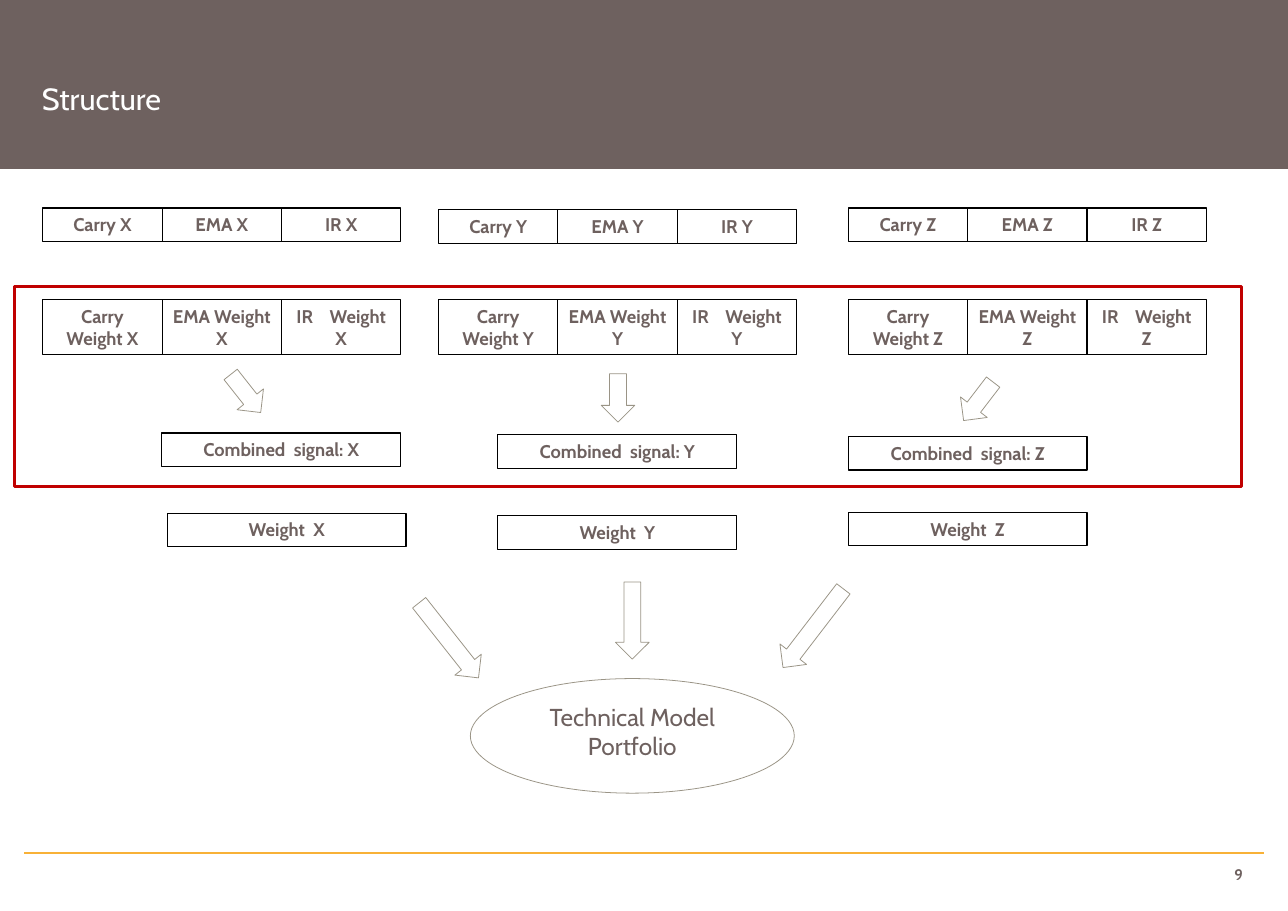
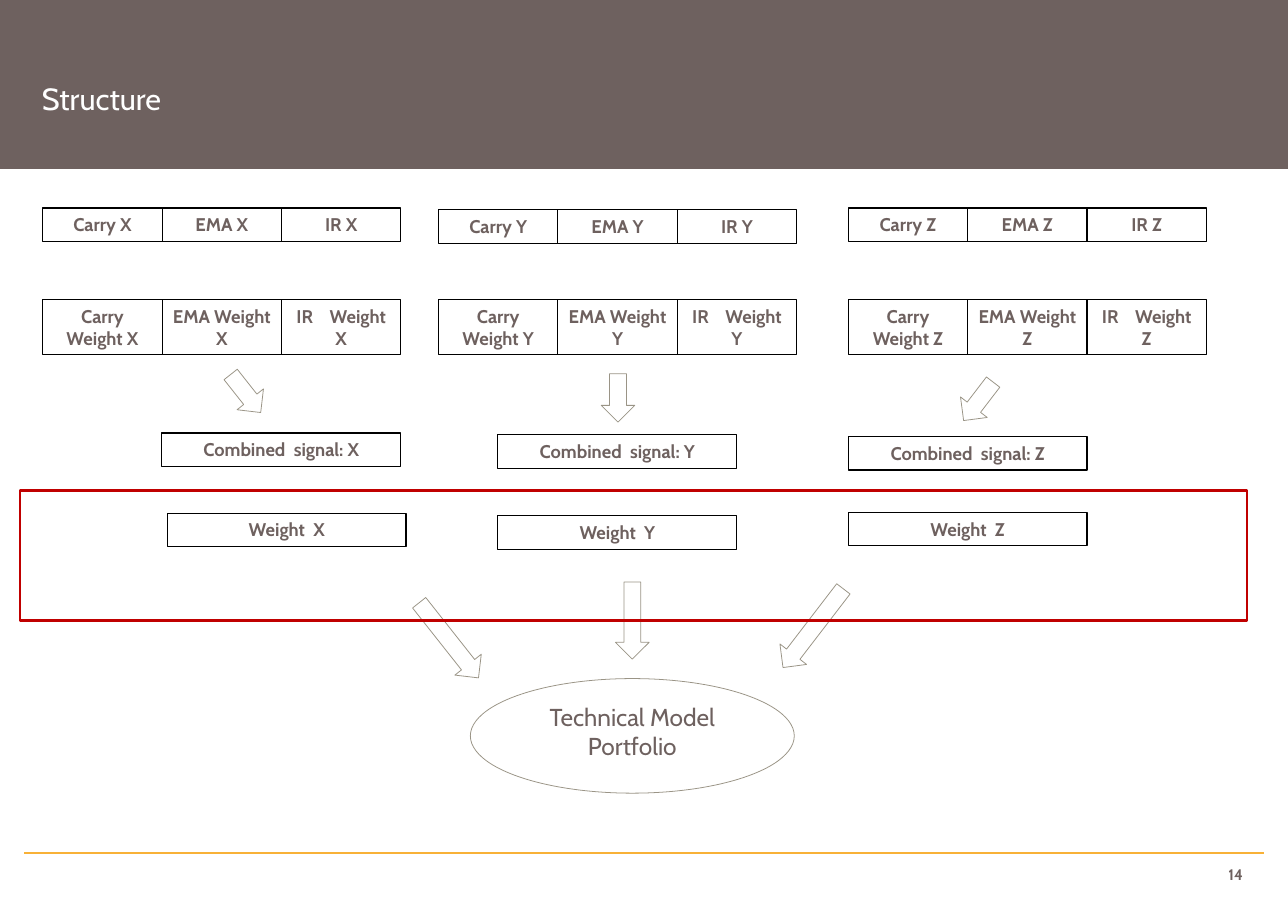
from pptx import Presentation
from pptx.dml.color import RGBColor
from pptx.enum.shapes import MSO_CONNECTOR, MSO_SHAPE as SHAPE
from pptx.enum.text import MSO_ANCHOR as ANCHOR, PP_ALIGN as ALIGN
from pptx.oxml.ns import qn
from pptx.util import Pt

TAUPE = RGBColor(0x6E, 0x61, 0x5F)
STONE = RGBColor(0x9A, 0x94, 0x86)
AMBER = RGBColor(0xF8, 0xB1, 0x37)
RED = RGBColor(0xC0, 0x00, 0x00)
BLACK = RGBColor(0, 0, 0)
WHITE = RGBColor(0xFF, 0xFF, 0xFF)
FONT = "Cabin"

WIDTH, HEIGHT = 841.7, 595.4
CELL_W, ROW_H, TALL_H = 78, 22, 36.3
WEIGHT_ROW_TOP = 195.6

SLIDES = [
    ("Structure", "9", (9.4, 187.2, 802, 131)),
    ("Structure", "14", (13, 320.4, 802, 85)),
]
SIGNALS = ["Carry", "EMA", "IR"]
ASSETS = [
    dict(name="X", left=28, top=136, combined=(105.8, 283), weight=(109.4, 335.4)),
    dict(name="Y", left=286.6, top=137, combined=(325.4, 284.2), weight=(325.4, 337)),
    dict(name="Z", left=554.4, top=136, combined=(554.4, 285.2), weight=(554.4, 334.8)),
]
ARROWS = [
    (144.7, 246.2, 31.7, 51.7),
    (388, 249.1, 31.7, 90),
    (623.5, 251.3, 31.7, 127.5),
    (262, 407.5, 62.6, 51.7),
    (388, 394.6, 50.4, 90),
    (499, 399.6, 64.8, 127.5),
]
PORTFOLIO = ("Technical Model Portfolio", (307.4, 443.5, 211.7, 74.9))


def style(r, size, color, bold=False):
    r.font.name = FONT
    r.font.size = Pt(size)
    r.font.bold = bold
    r.font.color.rgb = color


def add_outline(s, kind, box, color, width):
    sp = s.shapes.add_shape(kind, *map(Pt, box))
    sp.shadow.inherit = False
    sp.fill.background()
    sp.line.color.rgb = color
    sp.line.width = Pt(width)
    return sp


def write(sp, text, size, bold=False, gap=0, align=ALIGN.CENTER):
    tf = sp.text_frame
    tf.word_wrap = True
    tf.vertical_anchor = ANCHOR.TOP
    p = tf.paragraphs[0]
    p.alignment = align
    first, space, rest = text.partition(" ")
    for part in filter(None, (first, space, rest) if gap else (text,)):
        r = p.add_run()
        r.text = part
        style(r, size, TAUPE, bold)
        if part == " ":
            r.font._element.set("spc", str(round(gap * 100)))


def add_box(s, text, left, top, width, height=ROW_H, gap=0):
    sp = add_outline(s, SHAPE.RECTANGLE, (left, top, width, height), BLACK, 0.75)
    write(sp, text, 12, True, gap)


def decorate_layout(layout, s):
    band = add_outline(s, SHAPE.RECTANGLE, (0, 0, WIDTH, 110.2), TAUPE, 0.75)
    band.fill.solid()
    band.fill.fore_color.rgb = TAUPE
    rule = s.shapes.add_connector(MSO_CONNECTOR.STRAIGHT, Pt(15.8), Pt(557.3), Pt(826.2), Pt(557.3))
    rule.line.color.rgb = AMBER
    rule.line.width = Pt(1.25)
    sp_pr = rule._element.spPr
    sp_pr.append(sp_pr.makeelement(qn("a:effectLst"), {}))
    for sp in (rule, band):
        layout.shapes._spTree.insert(2, sp._element)


def add_heading(s, text, number):
    title = s.shapes.title
    title.left, title.top, title.width, title.height = map(Pt, (9.4, 37.4, 587.5, 53.3))
    tf = title.text_frame
    tf.text = text
    tf.vertical_anchor = ANCHOR.MIDDLE
    tf.margin_left = Pt(18)
    p = tf.paragraphs[0]
    p.alignment = ALIGN.LEFT
    style(p.runs[0], 20, WHITE)

    page = s.shapes.add_textbox(*map(Pt, (787, 565.2, 25.2, 12.2)))
    tf = page.text_frame
    tf.margin_left = tf.margin_right = tf.margin_top = tf.margin_bottom = 0
    write(page, number, 10, True, align=ALIGN.RIGHT)


def add_diagram(s):
    for asset in ASSETS:
        name = asset["name"]
        for i, signal in enumerate(SIGNALS):
            left = asset["left"] + i * CELL_W
            gap = 8.1 if signal == "IR" else 0
            add_box(s, f"{signal} {name}", left, asset["top"], CELL_W)
            add_box(s, f"{signal} Weight {name}", left, WEIGHT_ROW_TOP, CELL_W, TALL_H, gap)
        add_box(s, f"Combined signal: {name}", *asset["combined"], 2 * CELL_W, gap=2.7)
        add_box(s, f"Weight {name}", *asset["weight"], 2 * CELL_W, gap=2.7)
    for left, top, length, angle in ARROWS:
        arrow = add_outline(s, SHAPE.RIGHT_ARROW, (left, top, length, ROW_H), STONE, 0.5)
        arrow.rotation = angle
    text, box = PORTFOLIO
    sp = add_outline(s, SHAPE.OVAL, box, STONE, 0.5)
    tf = sp.text_frame
    tf.margin_left = tf.margin_right = tf.margin_top = tf.margin_bottom = Pt(4.3)
    write(sp, text, 16)


def main():
    prs = Presentation()
    prs.slide_width, prs.slide_height = Pt(WIDTH), Pt(HEIGHT)
    layout = prs.slide_layouts[5]
    for i, (title, number, highlight) in enumerate(SLIDES):
        s = prs.slides.add_slide(layout)
        if i == 0:
            decorate_layout(layout, s)
        add_heading(s, title, number)
        add_diagram(s)
        add_outline(s, SHAPE.RECTANGLE, highlight, RED, 1.75)
    prs.save("out.pptx")


if __name__ == "__main__":
    main()
